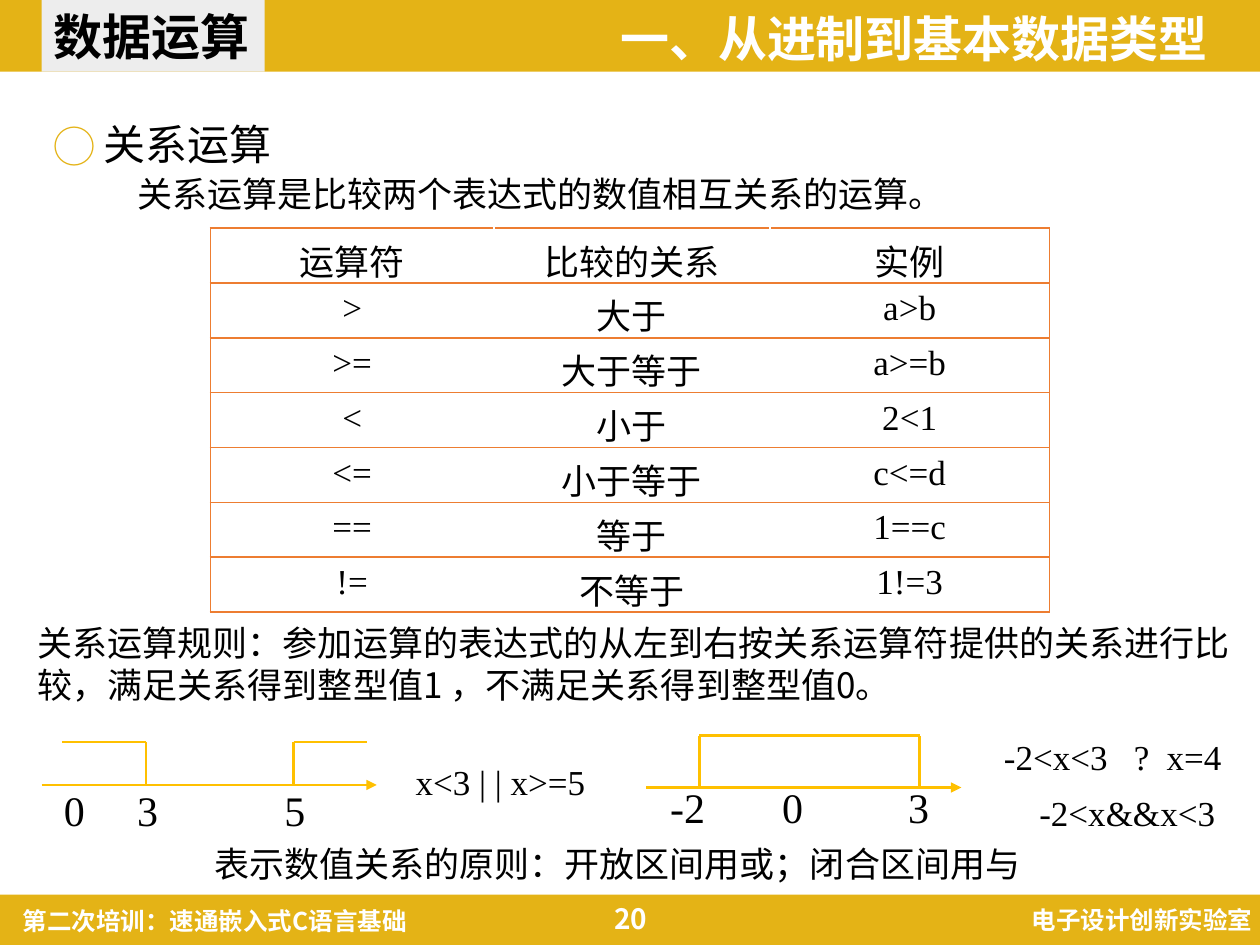
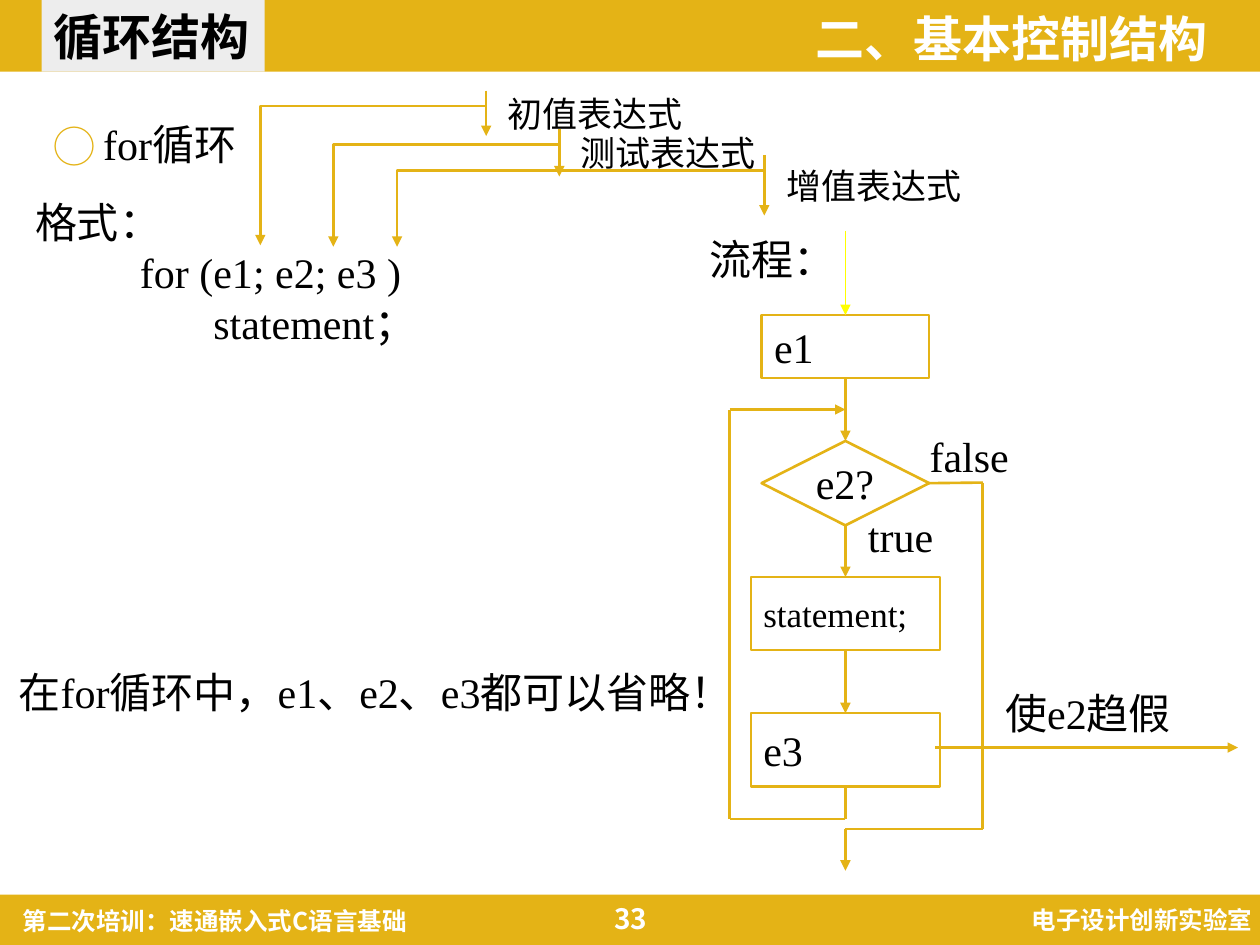
import pptx
import pptx.util
import pptx.dml.color
import pptx.enum.shapes
import pptx.enum.text
import pptx.oxml.ns
import lxml.etree

Inches = pptx.util.Inches
Pt = pptx.util.Pt
qn = pptx.oxml.ns.qn
SHAPE = pptx.enum.shapes.MSO_SHAPE
ALIGN = pptx.enum.text.PP_ALIGN
ANCHOR = pptx.enum.text.MSO_ANCHOR

COLORS = {
    "gold": "E4B316", "amber": "FFC000", "yellow": "FFFF00", "orange": "ED7D31",
    "tag": "EDEDED", "white": "FFFFFF", "black": "000000",
}
SANS = "Noto Sans CJK SC"
SERIF = "Times New Roman"


def rgb(name):
    return pptx.dml.color.RGBColor.from_string(COLORS[name])


def add_child(parent, tag, **attributes):
    return lxml.etree.SubElement(parent, qn(tag), attributes)


def write_text(frame, text, size=24, font=SERIF, color="black", bold=False, align=ALIGN.LEFT,
               anchor=ANCHOR.TOP, wrap=False, spacing=None, bullet=None, tabs=()):
    frame.word_wrap = wrap
    frame.vertical_anchor = anchor
    for index, line in enumerate(text.split("\n")):
        paragraph = frame.paragraphs[0] if index == 0 else frame.add_paragraph()
        properties = paragraph._p.get_or_add_pPr()
        if bullet:
            properties.set("marL", str(Inches(0.39)))
            properties.set("indent", str(-Inches(0.39)))
            add_child(add_child(properties, "a:buClr"), "a:srgbClr", val=COLORS["gold"])
            add_child(properties, "a:buFont", typeface=SANS)
            add_child(properties, "a:buChar", char=bullet)
        if tabs:
            tab_list = add_child(properties, "a:tabLst")
            for position in tabs:
                add_child(tab_list, "a:tab", pos=str(Inches(position)), algn="l")
        paragraph.alignment = align
        if spacing:
            paragraph.line_spacing = spacing
        run = paragraph.add_run()
        run.text = line
        run.font.size = Pt(size)
        run.font.name = font
        run.font.bold = bold
        run.font.color.rgb = rgb(color)
        run_properties = run._r.get_or_add_rPr()
        run_properties.set("lang", "zh-CN")
        run_properties.find(qn("a:latin")).addnext(
            lxml.etree.Element(qn("a:ea"), {"typeface": SANS}))


def add_text(slide, box, text, **text_format):
    text_box = slide.shapes.add_textbox(*map(Inches, box))
    write_text(text_box.text_frame, text, **text_format)


def add_box(slide, box, kind=SHAPE.RECTANGLE, fill=None, line=None, text=None, **text_format):
    shape = slide.shapes.add_shape(kind, *map(Inches, box))
    shape.shadow.inherit = False
    if fill:
        shape.fill.solid()
        shape.fill.fore_color.rgb = rgb(fill)
    else:
        shape.fill.background()
    if line:
        shape.line.color.rgb = rgb(line)
        shape.line.width = Pt(1.5)
    else:
        shape.line.fill.background()
    if text:
        write_text(shape.text_frame, text, **text_format)
    return shape


def add_arrowhead(shape, end="a:tailEnd"):
    add_child(shape._element.spPr.find(qn("a:ln")), end, type="triangle")


def add_path(slide, points, color="gold", width=1.5, arrow=False, begin=None, end=None):
    connectors = []
    for start, finish in zip(points, points[1:]):
        connector = slide.shapes.add_connector(
            pptx.enum.shapes.MSO_CONNECTOR.STRAIGHT, *map(Inches, start + finish))
        connector.line.color.rgb = rgb(color)
        connector.line.width = Pt(width)
        add_child(connector._element.spPr, "a:effectLst")
        connectors.append(connector)
    if begin:
        connectors[0].begin_connect(*begin)
    if end:
        connectors[-1].end_connect(*end)
    if arrow:
        add_arrowhead(connectors[-1])


def add_frame(presentation, tag, chapter, number):
    slide = presentation.slides.add_slide(presentation.slide_layouts[6])
    add_box(slide, (0, 7.1, 10, 0.4), fill="gold")
    add_box(slide, (-0.02, 0, 10.02, 0.57), fill="gold")
    label = dict(font=SANS, color="white", bold=True, wrap=True)
    add_text(slide, (6.9, 7.13, 3.14, 0.34), "电子设计创新实验室", size=14, align=ALIGN.RIGHT, **label)
    add_text(slide, (0.08, 7.14, 3.99, 0.34), "第二次培训：速通嵌入式C语言基础", size=14, **label)
    add_text(slide, (4.39, 7.09, 1.23, 0.4), number, size=16, align=ALIGN.CENTER,
             anchor=ANCHOR.MIDDLE, **label)
    add_text(slide, (4.39, 0.07, 5.29, 0.46), chapter, size=28, align=ALIGN.RIGHT,
             spacing=0.9, **label)
    add_box(slide, (0.33, 0, 1.77, 0.57), fill="tag", text=tag, size=28, font=SANS, bold=True,
            anchor=ANCHOR.MIDDLE)
    return slide


def add_heading(slide, text):
    add_text(slide, (0.33, 0.85, 9.35, 0.52), text, wrap=True, spacing=Pt(32), bullet="◯")


def add_operator_table(slide, box, rows):
    widths = (2.25, 2.19, 2.22)
    table = slide.shapes.add_table(len(rows), len(widths), *map(Inches, box)).table
    table.first_row = False
    table.horz_banding = False
    for column, width in zip(table.columns, widths):
        column.width = Inches(width)
    for row_index, row in enumerate(rows):
        table.rows[row_index].height = Inches(box[3] / len(rows))
        for column_index, text in enumerate(row):
            cell = table.cell(row_index, column_index)
            cell.margin_top, cell.margin_bottom = Inches(0.05), 0
            sides = ["a:lnT", "a:lnB"]
            if column_index == 0:
                sides.insert(0, "a:lnL")
            if column_index == len(widths) - 1:
                sides.insert(0, "a:lnR")
            for side in sides:
                border = add_child(cell._tc.get_or_add_tcPr(), side, w=str(Pt(1)))
                add_child(add_child(border, "a:solidFill"), "a:srgbClr", val=COLORS["orange"])
            cell.fill.solid()
            cell.fill.fore_color.rgb = rgb("white")
            write_text(cell.text_frame, text, size=20, align=ALIGN.CENTER, wrap=True)


def add_number_line(slide, box, intervals, labels, label_shift):
    left, top, width, height = box
    axis = top + height
    add_path(slide, [(left, axis), (left + width, axis)], color="amber", arrow=True)
    for interval in intervals:
        add_path(slide, [(left + x, axis - height * level) for x, level in interval], color="amber")
    for text, x in labels:
        add_text(slide, (left + x, axis + label_shift, 0.37 if len(text) == 1 else 0.48, 0.51), text)


def add_flowchart(slide, box):
    left, top, width, height = box
    spine, bottom = left + 0.92, top + height
    right = left + width

    def add_node(offset, node_width, node_height, text, kind=SHAPE.FLOWCHART_PROCESS, size=24):
        return add_box(slide, (spine - node_width / 2, top + offset, node_width, node_height), kind,
                       line="gold", text=text, size=size, anchor=ANCHOR.MIDDLE)

    start = add_node(0.67, 1.33, 0.5, "e1")
    test = add_node(1.67, 1.33, 0.67, "e2?", SHAPE.FLOWCHART_DECISION)
    body = add_node(2.75, 1.5, 0.58, "statement;", size=20)
    step = add_node(3.83, 1.5, 0.58, "e3")

    add_path(slide, [(spine, top), (spine, top + 0.67)], color="yellow", width=0.75,
             arrow=True, end=(start, 0))
    for upper, lower in ((start, test), (test, body), (body, step)):
        add_path(slide, [(spine, top), (spine, bottom)], arrow=True, begin=(upper, 2), end=(lower, 0))
    loop_bottom, loop_top = top + 4.67, top + 1.42
    add_path(slide, [(spine, top + 4.41), (spine, loop_bottom), (left, loop_bottom),
                     (left, loop_top), (spine, loop_top)], arrow=True, begin=(step, 2))
    exit_top, exit_bottom = top + 2.0, top + 4.75
    add_path(slide, [(spine + 0.67, exit_top), (right, exit_top), (right, exit_bottom),
                     (spine, exit_bottom), (spine, bottom)], arrow=True, begin=(test, 3))
    add_text(slide, (spine + 0.08, top + 2.17, 0.72, 0.51), "true")
    add_text(slide, (spine + 0.57, top + 1.54, 0.85, 0.51), "false")


def add_callout(slide, box, kind, adjustments, text, end="a:tailEnd", **text_format):
    callout = add_box(slide, box, kind, line="gold", text=text, wrap=True, **text_format)
    for index, value in enumerate(adjustments):
        callout.adjustments[index] = value
    add_arrowhead(callout, end)


def build_relations(presentation):
    slide = add_frame(presentation, "数据运算", "一、从进制到基本数据类型", "20")
    add_heading(slide, "关系运算")
    note = dict(size=20, font=SANS)
    add_text(slide, (0.99, 1.32, 6.79, 0.44), "关系运算是比较两个表达式的数值相互关系的运算。", **note)
    add_operator_table(slide, (1.67, 1.81, 6.66, 3.05), (
        ("运算符", "比较的关系", "实例"),
        (">", "大于", "a>b"),
        (">=", "大于等于", "a>=b"),
        ("<", "小于", "2<1"),
        ("<=", "小于等于", "c<=d"),
        ("==", "等于", "1==c"),
        ("!=", "不等于", "1!=3"),
    ))
    add_text(slide, (0.2, 4.88, 9.84, 0.78),
             "关系运算规则：参加运算的表达式的从左到右按关系运算符提供的关系进行比较，"
             "满足关系得到整型值1 ，不满足关系得到整型值0。", wrap=True, **note)
    add_number_line(slide, (0.33, 5.89, 2.66, 0.34),
                    [[(0.83, 0), (0.83, 1), (0.16, 1)], [(2, 0), (2, 1), (2.58, 1)]],
                    [("0", 0.08), ("3", 0.66), ("5", 1.83)], -0.05)
    add_number_line(slide, (5.13, 5.84, 2.5, 0.41),
                    [[(0.42, 0), (0.42, 1), (2.17, 1), (2.17, 0)]],
                    [("-2", 0.09), ("0", 0.98), ("3", 1.98)], -0.1)
    add_text(slide, (3.2, 5.99, 1.56, 0.44), "x<3 | | x>=5", size=20)
    add_text(slide, (7.87, 5.79, 1.94, 0.44), "-2<x<3\t?\tx=4", size=20, tabs=(1.03, 1.29))
    add_text(slide, (8.15, 6.23, 1.6, 0.44), "-2<x&&x<3", size=20)
    add_text(slide, (1.6, 6.64, 7.05, 0.44), "表示数值关系的原则：开放区间用或；闭合区间用与",
             wrap=True, **note)


def build_for_loop(presentation):
    slide = add_frame(presentation, "循环结构", "二、基本控制结构", "33")
    add_heading(slide, "for循环")
    add_text(slide, (5.53, 1.8, 1.21, 0.51), "流程：")
    add_flowchart(slide, (5.79, 1.83, 2.01, 5.08))
    add_callout(slide, (7.88, 5.41, 2.07, 0.44), SHAPE.LINE_CALLOUT_1_NO_BORDER,
                (1.19, 0.94, 1.19, -0.22), "使e2趋假", end="a:headEnd")
    add_text(slide, (0.18, 1.51, 3.37, 1.32),
             "格式：\n          for (e1; e2; e3 )\n                 statement；")
    add_text(slide, (0.05, 5.24, 6.13, 0.51), "在for循环中，e1、e2、e3都可以省略！", wrap=True)
    for text, box, bend, reach, drop in (
        ("初值表达式", (3.93, 0.72, 2.39, 0.36), 0.34, -0.78, 3.41),
        ("测试表达式", (4.51, 1.02, 2.36, 0.38), 0.33, -0.79, 2.47),
        ("增值表达式", (6.14, 1.23, 2.47, 0.48), 0.26, -1.21, 1.52),
    ):
        add_callout(slide, box, SHAPE.LINE_CALLOUT_2_ACCENT_BAR,
                    (bend, -0.03, bend, reach, drop, reach), text, size=20, anchor=ANCHOR.MIDDLE)


def main():
    presentation = pptx.Presentation()
    presentation.slide_width = Inches(10)
    presentation.slide_height = Inches(7.5)
    build_relations(presentation)
    build_for_loop(presentation)
    presentation.save("out.pptx")


if __name__ == "__main__":
    main()
